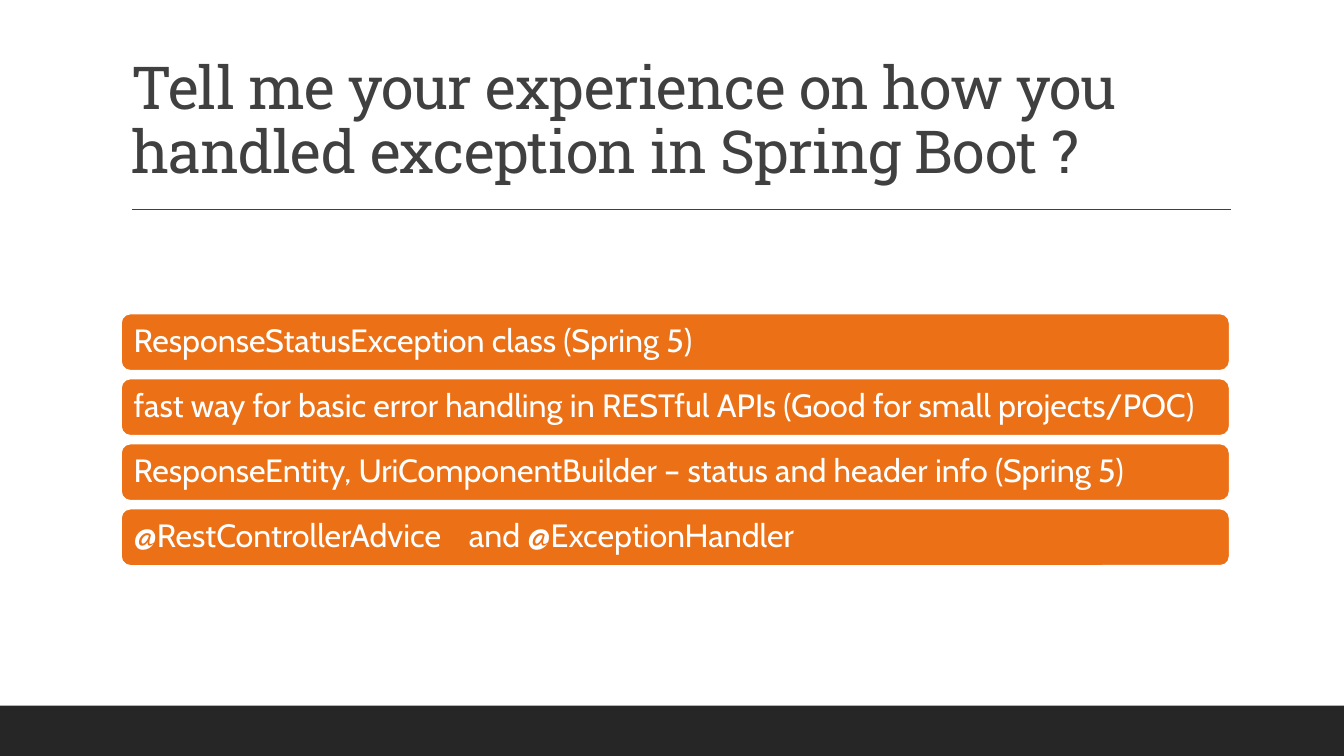
from lxml.etree import SubElement
from pptx import Presentation
from pptx.dml.color import RGBColor
from pptx.enum.shapes import MSO_CONNECTOR as Connector, MSO_SHAPE as Shape
from pptx.enum.text import MSO_ANCHOR as Anchor, MSO_AUTO_SIZE as AutoSize, PP_ALIGN as Align
from pptx.oxml.ns import qn
from pptx.util import Pt

WHITE = RGBColor(0xFF, 0xFF, 0xFF)
ORANGE = RGBColor(0xEC, 0x70, 0x16)
GRAY = RGBColor(0x40, 0x40, 0x40)
BLACK = RGBColor(0x26, 0x26, 0x26)

TITLE = "Tell me your experience on how you handled exception in Spring Boot ?"
ANSWERS = [
    "ResponseStatusException class (Spring 5)",
    "fast way for basic error handling in RESTful APIs (Good for small projects/POC)",
    "ResponseEntity, UriComponentBuilder – status and header info (Spring 5)",
    "@RestControllerAdvice\tand @ExceptionHandler",
]
LEFT, WIDTH = 86.4, 792
ANSWER_TOP, ANSWER_HEIGHT, ANSWER_PITCH = 223.9, 41, 46.45


def write(shape, text, *, font, size, color, anchor, spacing=0, tab=None):
    """Fill a shape with one left-aligned paragraph; spacing and tab are in points."""
    frame = shape.text_frame
    frame.word_wrap = True
    frame.auto_size = AutoSize.NONE
    frame.vertical_anchor = anchor
    paragraph = frame.paragraphs[0]
    paragraph.alignment = Align.LEFT
    paragraph.line_spacing = 0.9
    run = paragraph.add_run()
    run.text = text
    run.font.name = font
    run.font.size = Pt(size)
    run.font.color.rgb = color
    if spacing:
        run._r.get_or_add_rPr().set("spc", str(round(spacing * 100)))
    if tab:
        stops = SubElement(paragraph._p.get_or_add_pPr(), qn("a:tabLst"))
        SubElement(stops, qn("a:tab"), pos=str(Pt(tab)), algn="l")


class SlideBuilder:
    heading_font = "Roboto Slab"
    body_font = "Cabin"

    def __init__(self, presentation):
        self.slide = presentation.slides.add_slide(presentation.slide_layouts[5])

    def title(self, text, left, top, width, height):
        title = self.slide.shapes.title
        title.left, title.top = Pt(left), Pt(top)
        title.width, title.height = Pt(width), Pt(height)
        write(title, text, font=self.heading_font, size=42.3, color=GRAY,
              anchor=Anchor.BOTTOM, spacing=-0.5)

    def box(self, kind, left, top, width, height, fill, outline=None):
        shape = self.slide.shapes.add_shape(kind, Pt(left), Pt(top), Pt(width), Pt(height))
        shape.shadow.inherit = False
        shape.fill.solid()
        shape.fill.fore_color.rgb = fill
        if outline is None:
            shape.line.fill.background()
        else:
            shape.line.color.rgb = outline
            shape.line.width = Pt(1.25)
        return shape

    def rule(self, left, right, y):
        line = self.slide.shapes.add_connector(
            Connector.STRAIGHT, Pt(left), Pt(y), Pt(right), Pt(y))
        line.line.color.rgb = GRAY
        line.line.width = Pt(1)
        SubElement(line._element.spPr, qn("a:effectLst"))

    def answer(self, text, top):
        card = self.box(Shape.ROUNDED_RECTANGLE, LEFT, top, WIDTH, ANSWER_HEIGHT,
                        ORANGE, WHITE)
        write(card, text, font=self.body_font, size=23, color=WHITE,
              anchor=Anchor.MIDDLE, tab=239.5 if "\t" in text else None)


def main():
    presentation = Presentation()
    presentation.slide_width, presentation.slide_height = Pt(960), Pt(540)
    builder = SlideBuilder(presentation)
    builder.box(Shape.RECTANGLE, 0, 504, 960, 36, BLACK)
    builder.rule(94.3, 879, 149.6)
    builder.title(TITLE, LEFT, 22.3, WIDTH, 114.5)
    for index, text in enumerate(ANSWERS):
        builder.answer(text, ANSWER_TOP + index * ANSWER_PITCH)
    presentation.save("out.pptx")


if __name__ == "__main__":
    main()
